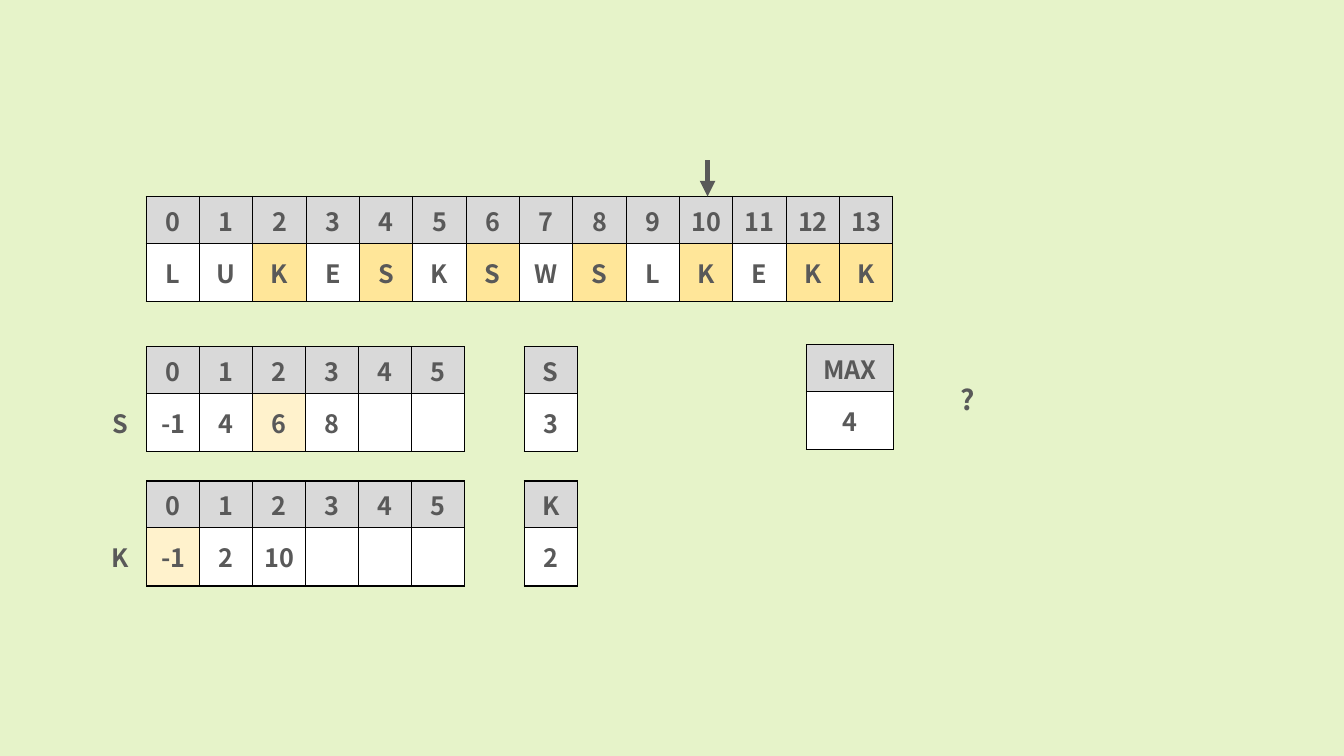
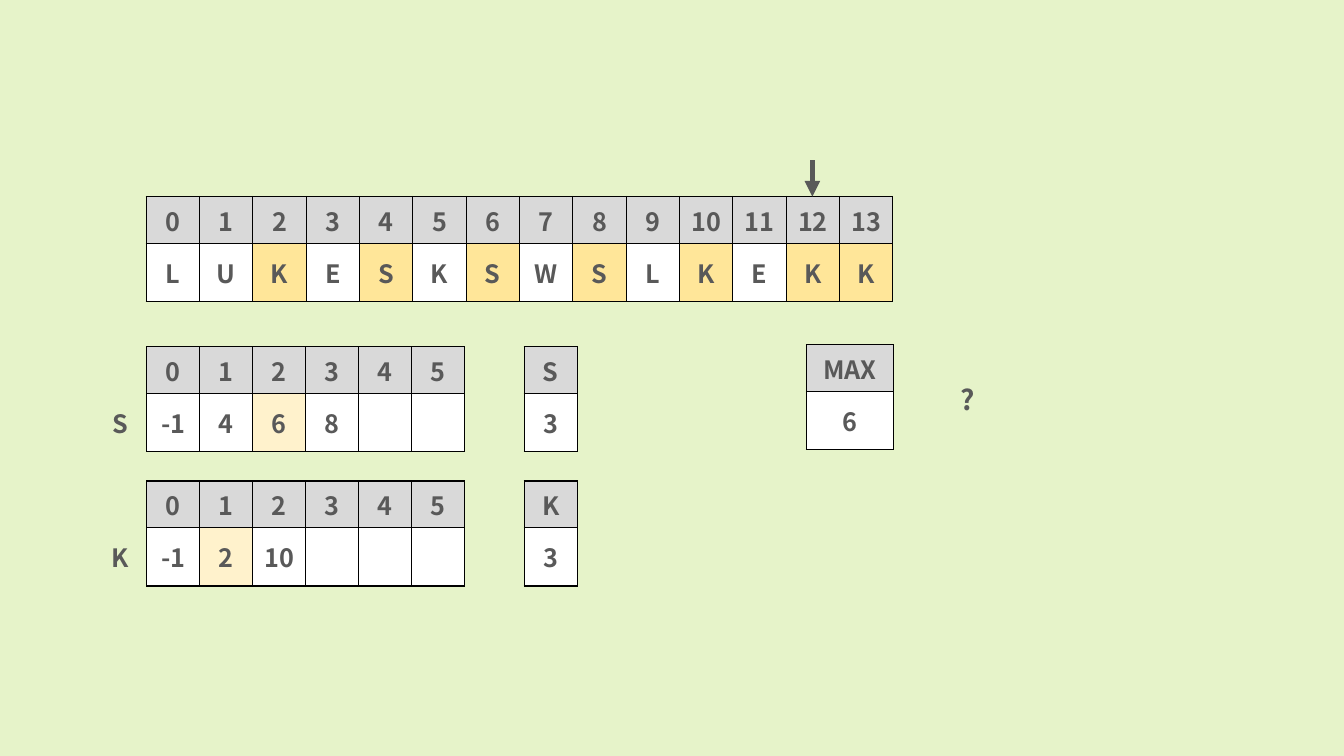
import pptx
import pptx.dml.color
import pptx.enum.shapes
import pptx.enum.text
import pptx.oxml
import pptx.oxml.ns
import pptx.util
from dataclasses import dataclass

Pt = pptx.util.Pt
CENTER = pptx.enum.text.PP_ALIGN.CENTER
MIDDLE = pptx.enum.text.MSO_ANCHOR.MIDDLE


@dataclass(frozen=True)
class Theme:
    font: str = "Noto Sans CJK KR"
    cell_size: float = 18
    question_size: float = 20
    background: str = "E6F3C9"
    ink: str = "595959"
    border: str = "000000"
    header: str = "D9D9D9"
    plain: str = "FFFFFF"
    picked: str = "FFE699"
    current: str = "FFF2CC"
    border_width: float = 1
    arrow_width: float = 3.75


THEME = Theme()

WORD = "LUKESKSWSLKEKK"
PICKED = {2, 4, 6, 8, 10, 12, 13}
SLOTS = 6
# "current" is the highlighted slot of each list of positions.
STEPS = [
    {
        "arrow_x": 505.4,
        "max": 4,
        "letters": [
            {"letter": "S", "positions": [-1, 4, 6, 8], "current": 2, "count": 3},
            {"letter": "K", "positions": [-1, 2, 10], "current": 0, "count": 2},
        ],
    },
    {
        "arrow_x": 580.3,
        "max": 6,
        "letters": [
            {"letter": "S", "positions": [-1, 4, 6, 8], "current": 2, "count": 3},
            {"letter": "K", "positions": [-1, 2, 10], "current": 1, "count": 3},
        ],
    },
]

ROW_HEIGHTS = (33.5, 41.5)
WORD_LEFT, WORD_TOP, WORD_CELL = 104.4, 140.4, 38.1
POSITIONS_LEFT, POSITIONS_CELL = 67, 37.85
LETTERS_TOP, LETTERS_STEP = 247.6, 96
COUNT_LEFT, COUNT_CELL = 374.4, 38
MAX_LEFT, MAX_TOP, MAX_CELL = 576, 246.3, 62
ARROW_LENGTH = 26
QUESTION_BOX = (679, 270, 31.7, 31.7)
NO_STYLE_NO_GRID = "{2D5ABB26-0587-4C30-8999-92F81FD0307C}"


def rgb(color):
    return pptx.dml.color.RGBColor.from_string(color)


def write(frame, text, size=THEME.cell_size, color=THEME.ink, bold=True, align=None):
    paragraph = frame.paragraphs[0]
    paragraph.alignment = align
    run = paragraph.add_run()
    run.text = text
    run.font.name = THEME.font
    run.font.size = Pt(size)
    run.font.bold = bold
    run.font.color.rgb = rgb(color)


def add_borders(cell, sides):
    properties = cell._tc.get_or_add_tcPr()
    for side in sides:
        properties.append(pptx.oxml.parse_xml(
            f'<a:ln{side} {pptx.oxml.ns.nsdecls("a")} w="{Pt(THEME.border_width)}">'
            f'<a:solidFill><a:srgbClr val="{THEME.border}"/></a:solidFill></a:ln{side}>'
        ))


def add_grid(slide, left, top, cell_width, columns):
    """Draw a two-row table from (header, value, value fill) columns; no fill leaves a bare label."""
    grid = slide.shapes.add_table(
        2, len(columns), Pt(left), Pt(top),
        Pt(cell_width * len(columns)), Pt(sum(ROW_HEIGHTS)),
    ).table
    grid.first_row = grid.horz_banding = False
    grid._tbl.tblPr.find(pptx.oxml.ns.qn("a:tableStyleId")).text = NO_STYLE_NO_GRID
    for row, height in zip(grid.rows, ROW_HEIGHTS):
        row.height = Pt(height)
    for index, (header, value, value_fill) in enumerate(columns):
        grid.columns[index].width = Pt(cell_width)
        header_fill = THEME.header if value_fill else None
        for row, (text, fill) in enumerate([(header, header_fill), (value, value_fill)]):
            cell = grid.cell(row, index)
            cell.vertical_anchor = MIDDLE
            add_borders(cell, "LRTB" if fill else "R")
            if fill:
                cell.fill.solid()
                cell.fill.fore_color.rgb = rgb(fill)
            else:
                cell.fill.background()
            if text != "":
                write(cell.text_frame, str(text), align=CENTER)


def add_word(slide):
    add_grid(slide, WORD_LEFT, WORD_TOP, WORD_CELL, [
        (index, letter, THEME.picked if index in PICKED else THEME.plain)
        for index, letter in enumerate(WORD)
    ])


def add_letter(slide, top, letter, positions, current, count):
    slots = positions + [""] * (SLOTS - len(positions))
    add_grid(slide, POSITIONS_LEFT, top, POSITIONS_CELL, [("", letter, None)] + [
        (index, position, THEME.current if index == current else THEME.plain)
        for index, position in enumerate(slots)
    ])
    add_grid(slide, COUNT_LEFT, top, COUNT_CELL, [(letter, count, THEME.plain)])


def add_arrow(slide, x):
    arrow = slide.shapes.add_connector(
        pptx.enum.shapes.MSO_CONNECTOR.STRAIGHT,
        Pt(x), Pt(WORD_TOP - ARROW_LENGTH), Pt(x), Pt(WORD_TOP),
    )
    arrow.line.color.rgb = rgb(THEME.ink)
    arrow.line.width = Pt(THEME.arrow_width)
    namespace = pptx.oxml.ns.nsdecls("a")
    arrow.line._get_or_add_ln().append(
        pptx.oxml.parse_xml(f'<a:tailEnd {namespace} type="triangle"/>'))
    arrow._element.spPr.append(pptx.oxml.parse_xml(f"<a:effectLst {namespace}/>"))


def add_question(slide):
    question = slide.shapes.add_textbox(*map(Pt, QUESTION_BOX)).text_frame
    question.word_wrap = True
    write(question, "?", size=THEME.question_size)


def add_step(deck, step):
    slide = deck.slides.add_slide(deck.slide_layouts[6])
    add_word(slide)
    for index, letter in enumerate(step["letters"]):
        add_letter(slide, LETTERS_TOP + index * LETTERS_STEP, **letter)
    add_grid(slide, MAX_LEFT, MAX_TOP, MAX_CELL, [("MAX", step["max"], THEME.plain)])
    add_arrow(slide, step["arrow_x"])
    add_question(slide)


def main():
    deck = pptx.Presentation()
    deck.slide_width, deck.slide_height = Pt(960), Pt(540)
    background = deck.slide_master.background.fill
    background.solid()
    background.fore_color.rgb = rgb(THEME.background)
    for step in STEPS:
        add_step(deck, step)
    deck.save("out.pptx")


if __name__ == "__main__":
    main()
